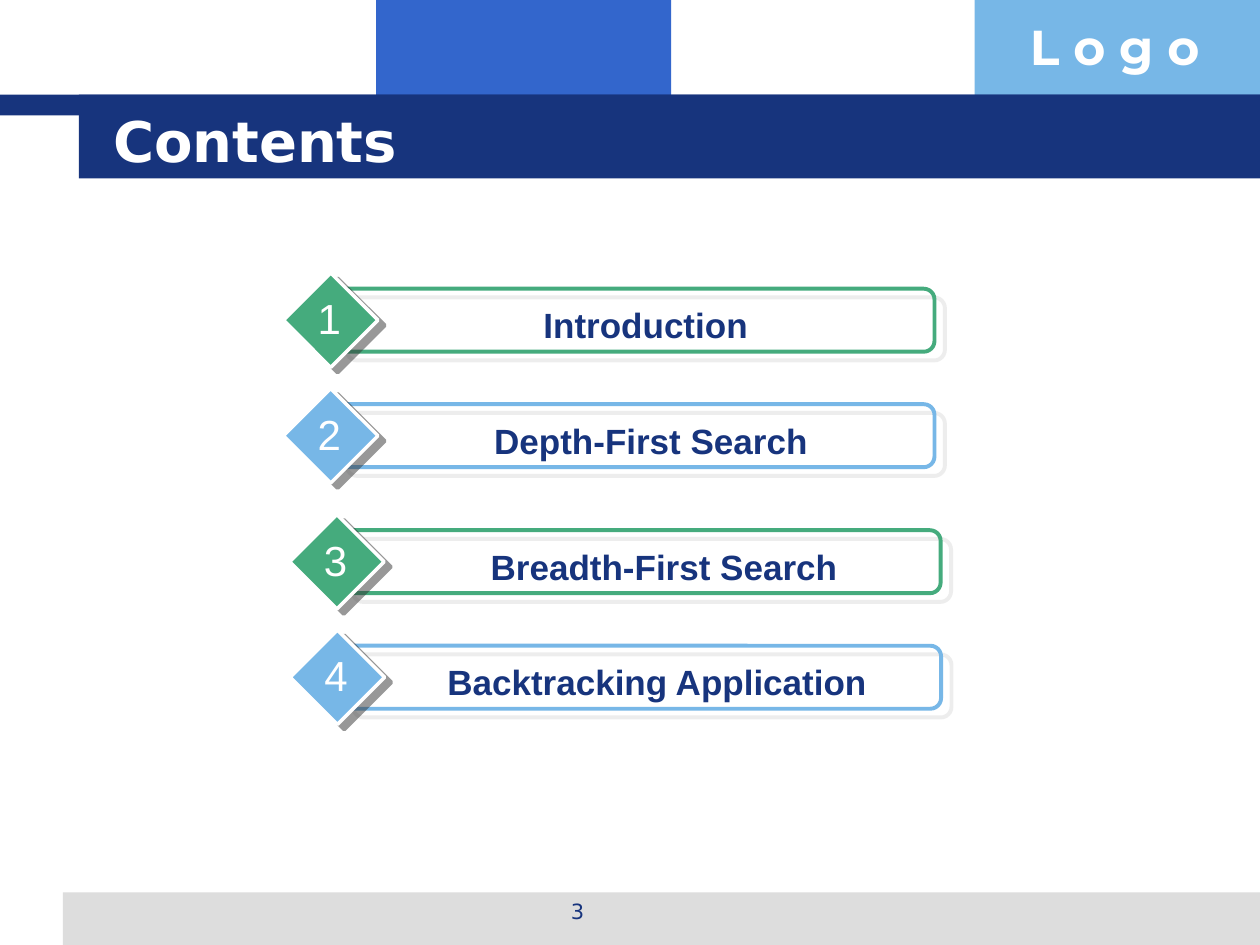
"""Build a contents slide with four numbered topic bars."""
from lxml import etree
from pptx import Presentation
from pptx.dml.color import RGBColor
from pptx.enum.shapes import MSO_SHAPE
from pptx.enum.text import MSO_ANCHOR, PP_ALIGN
from pptx.oxml.ns import qn
from pptx.util import Pt

RECT, ROUND, GEM = MSO_SHAPE.RECTANGLE, MSO_SHAPE.ROUNDED_RECTANGLE, MSO_SHAPE.DIAMOND
LEFT, MID = PP_ALIGN.LEFT, PP_ALIGN.CENTER
TOP, CENTER = MSO_ANCHOR.TOP, MSO_ANCHOR.MIDDLE

COLORS = {
    "navy": "17347D", "blue": "3366CC", "sky": "77B7E7", "green": "45AB7D",
    "gray": "DDDDDD", "dark": "333333", "white": "FFFFFF",
}
BANDS = [
    ("blue", 215, 0, 168.5, 66.25),
    ("sky", 557, 0, 163, 66.25),
    ("gray", 36, 510, 684, 30),
    ("navy", 0, 54, 720, 12),
    ("navy", 45, 54, 675, 48),
]
TOPICS = [
    ("Introduction", "green", 162, 156, 210, 318),
    ("Depth-First Search", "sky", 162, 222, 216, 312),
    ("Breadth-First Search", "green", 165.5, 294, 213, 333),
    ("Backtracking Application", "sky", 165.75, 360, 219.5, 312),
]


def rgb(name):
    return RGBColor.from_string(COLORS[name])


def shape(kind, box, fill=None, line=None, width=0):
    item = slide.shapes.add_shape(kind, *map(Pt, box))
    item.shadow.inherit = False
    if fill:
        item.fill.solid()
        item.fill.fore_color.rgb = rgb(fill)
    else:
        item.fill.background()
    if line:
        item.line.color.rgb = rgb(line)
        item.line.width = Pt(width)
    else:
        item.line.fill.background()
    return item


def shade(item, color, dist, angle):
    effects = item.element.spPr.find(qn("a:effectLst"))
    cast = etree.SubElement(effects, qn("a:outerShdw"), blurRad="0", dist=str(Pt(dist)),
                            dir=str(angle * 60000), algn="ctr", rotWithShape="0")
    tone = etree.SubElement(cast, qn("a:srgbClr"), val=COLORS[color])
    etree.SubElement(tone, qn("a:alpha"), val="50000")


def text(words, box, size, font, color, bold=False, align=LEFT, anchor=TOP, wrap=True):
    frame = slide.shapes.add_textbox(*map(Pt, box)).text_frame
    frame.word_wrap = wrap
    frame.vertical_anchor = anchor
    para = frame.paragraphs[0]
    para.alignment = align
    run = para.add_run()
    run.text = words
    run.font.size = Pt(size)
    run.font.name = font
    run.font.bold = bold
    run.font.color.rgb = rgb(color)


deck = Presentation()
deck.slide_width, deck.slide_height = Pt(720), Pt(540)
slide = deck.slides.add_slide(deck.slide_layouts[6])

for color, *box in BANDS:
    shape(RECT, box, color)
text("L o g o", (581.5, 6, 138.5, 41), 28, "Montserrat", "white", True)
text("3", (246, 510, 168, 25), 12, "DejaVu Sans", "navy", align=MID)
text("Contents", (57.5, 57.5, 614, 45), 32, "DejaVu Sans", "white", True, anchor=CENTER)

for num, (topic, color, x, y, left, width) in enumerate(TOPICS, 1):
    bar = shape(ROUND, (x + 30, y + 9, 342, 36), line=color, width=2.25)
    bar.adjustments[0] = 0.17
    shade(bar, "gray", 7.8, 40)
    gem = shape(GEM, (x, y, 54, 54), color, "white", 2)
    shade(gem, "dark", 5, 37)
    text(topic, (left, y + 14, width, 31), 20, "Arial", "navy", True, MID)
    text(str(num), (x + 12.25, y + 7.75, 28, 36), 24, "Arial", "white", align=MID, wrap=False)

deck.save("out.pptx")
